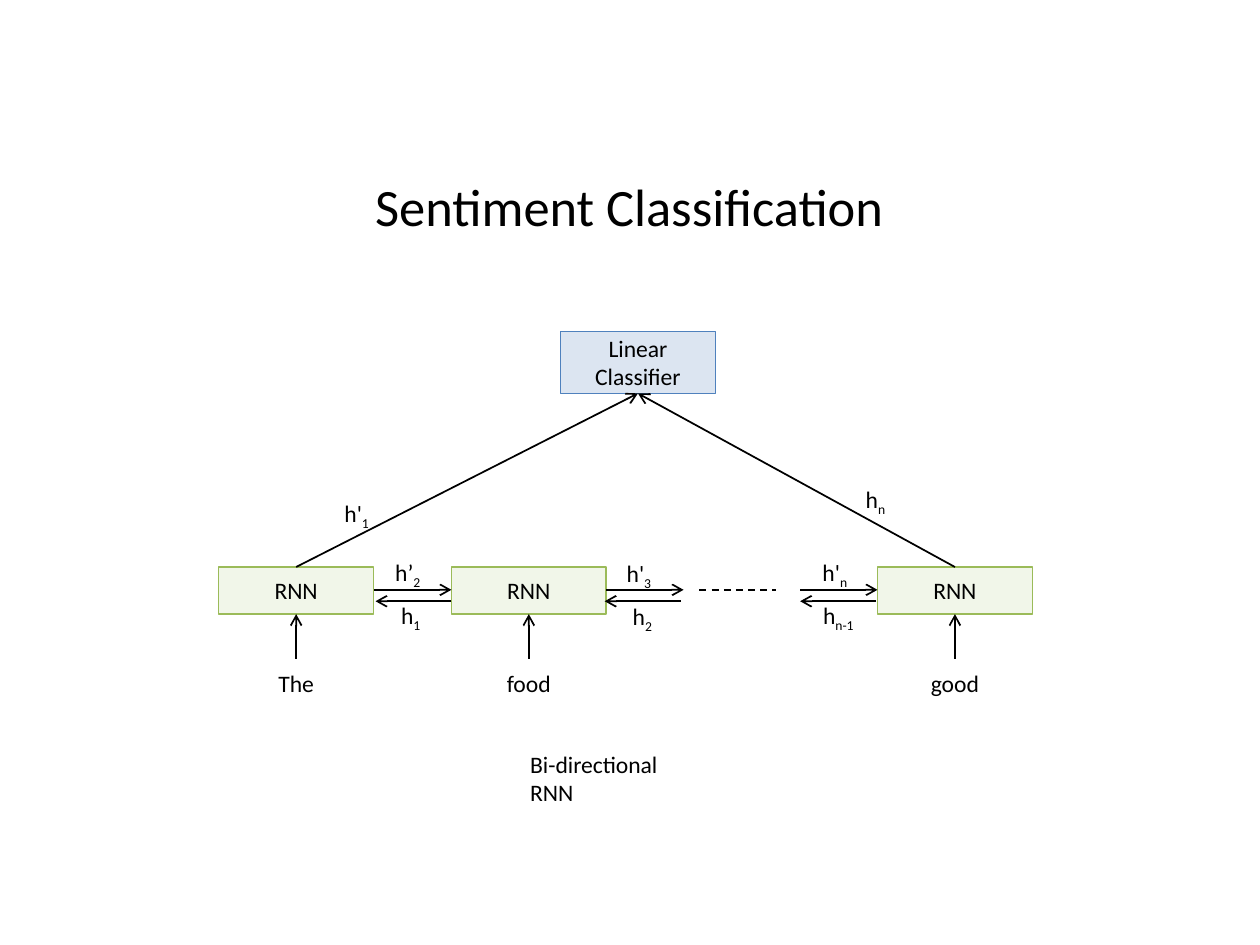
import pptx
import pptx.dml.color
import pptx.enum.dml
import pptx.enum.shapes
import pptx.enum.text
import pptx.oxml
import pptx.oxml.ns
import pptx.util
import lxml.etree

Cm = pptx.util.Cm
Pt = pptx.util.Pt
Align = pptx.enum.text.PP_ALIGN

COLOURS = {
    "ink": "000000",
    "green fill": "D7E4BD",
    "green line": "9BBB59",
    "blue fill": "95B3D7",
    "blue line": "4F81BD",
}


def colour(name):
    return pptx.dml.color.RGBColor.from_string(COLOURS[name])


def add_child(parent, tag, **attributes):
    return lxml.etree.SubElement(parent, pptx.oxml.ns.qn(tag), attributes)


class Diagram:
    """Holds the text style and the slide being drawn; lengths are in cm."""

    font_name = "Calibri"
    font_size = 13.5

    def __init__(self, slide):
        self.slide = slide

    def add_text(self, paragraph, text, size=None, subscript=False):
        run = paragraph.add_run()
        run.text = text
        run.font.name = self.font_name
        run.font.size = Pt(size or self.font_size)
        run.font.color.rgb = colour("ink")
        if subscript:
            run.font._element.set("baseline", "-25000")

    def box(self, text, left, top, width, height, hue):
        shape = self.slide.shapes.add_shape(
            pptx.enum.shapes.MSO_SHAPE.RECTANGLE,
            Cm(left), Cm(top), Cm(width), Cm(height))
        shape.shadow.inherit = False
        shape.fill.solid()
        shape.fill.fore_color.rgb = colour(hue + " fill")
        fill_colour = shape._element.spPr.find(".//" + pptx.oxml.ns.qn("a:srgbClr"))
        add_child(fill_colour, "a:alpha", val="33000")
        shape.line.color.rgb = colour(hue + " line")
        shape.line.width = Pt(0.75)
        shape.text_frame.vertical_anchor = pptx.enum.text.MSO_ANCHOR.MIDDLE
        paragraph = shape.text_frame.paragraphs[0]
        paragraph.alignment = Align.CENTER
        self.add_text(paragraph, text)

    def label(self, text, centre, top, width, subscript="", align=Align.CENTER):
        shape = self.slide.shapes.add_textbox(
            Cm(centre - width / 2), Cm(top), Cm(width), Cm(0.84))
        shape.text_frame.word_wrap = False
        shape.text_frame.auto_size = pptx.enum.text.MSO_AUTO_SIZE.SHAPE_TO_FIT_TEXT
        paragraph = shape.text_frame.paragraphs[0]
        paragraph.alignment = align
        self.add_text(paragraph, text)
        if subscript:
            self.add_text(paragraph, subscript, subscript=True)

    def title(self, text, left, top, width, height):
        shape = self.slide.shapes.add_textbox(Cm(left), Cm(top), Cm(width), Cm(height))
        shape.text_frame.word_wrap = True
        shape.text_frame.vertical_anchor = pptx.enum.text.MSO_ANCHOR.MIDDLE
        paragraph = shape.text_frame.paragraphs[0]
        paragraph.alignment = Align.CENTER
        self.add_text(paragraph, text, size=30)

    def line(self, start, end, arrow=True):
        connector = self.slide.shapes.add_connector(
            pptx.enum.shapes.MSO_CONNECTOR.STRAIGHT,
            Cm(start[0]), Cm(start[1]), Cm(end[0]), Cm(end[1]))
        connector.line.color.rgb = colour("ink")
        connector.line.width = Pt(1)
        properties = connector._element.spPr
        if arrow:
            add_child(properties.get_or_add_ln(), "a:tailEnd", type="arrow")
        else:
            connector.line.dash_style = pptx.enum.dml.MSO_LINE.DASH
        add_child(properties, "a:effectLst")


def main():
    presentation = pptx.Presentation()
    presentation.slide_width = Cm(25.4)
    presentation.slide_height = Cm(19.05)
    slide = presentation.slides.add_slide(presentation.slide_layouts[6])
    diagram = Diagram(slide)

    diagram.title("Sentiment Classification", 4.11, 2.95, 17.15, 2.39)

    # Recurrent cells, each fed by one word
    box_width = 3.12
    cell_top, cell_height = 11.43, 0.95
    cell_bottom = cell_top + cell_height
    words = [("The", 5.97, 1.22), ("food", 10.66, 1.4), ("good", 19.25, 1.47)]
    for word, centre, width in words:
        diagram.box("RNN", centre - box_width / 2, cell_top,
                    box_width, cell_height, "green")
        diagram.line((centre, cell_bottom + 0.9), (centre, cell_bottom))
        diagram.label(word, centre, 13.36, width)

    # States passed forwards and backwards between cells
    forward_y, backward_y = 11.89, 12.12
    for left in (7.54, 12.22, 16.13):
        diagram.line((left, forward_y), (left + 1.56, forward_y))
    for left in (7.57, 12.19, 16.13):
        diagram.line((left + 1.53, backward_y), (left, backward_y))
    diagram.line((14.1, forward_y), (15.65, forward_y), arrow=False)

    # Classifier, fed by both ends of the chain
    classifier_centre, classifier_top, classifier_height = 12.86, 6.68, 1.25
    diagram.box("Linear Classifier", classifier_centre - box_width / 2,
                classifier_top, box_width, classifier_height, "blue")
    for centre in (words[0][1], words[-1][1]):
        diagram.line((centre, cell_top),
                     (classifier_centre, classifier_top + classifier_height))

    # State names: text, subscript, centre, top, width
    states = [
        ("h", "1", 8.28, 11.99, 0.91),
        ("h", "2", 12.95, 12.01, 0.91),
        ("h", "n-1", 16.9, 11.99, 1.19),
        ("h", "n", 17.65, 9.65, 0.91),
        ("h'", "1", 7.19, 9.93, 1.02),
        ("h’", "2", 8.22, 11.13, 1.04),
        ("h'", "3", 12.88, 11.15, 1.02),
        ("h'", "n", 16.83, 11.13, 1.04),
    ]
    for text, subscript, centre, top, width in states:
        diagram.label(text, centre, top, width, subscript)

    # Caption
    diagram.label("Bi-directional RNN", 12.46, 14.99, 4.04, align=Align.LEFT)

    presentation.save("out.pptx")


if __name__ == "__main__":
    main()
